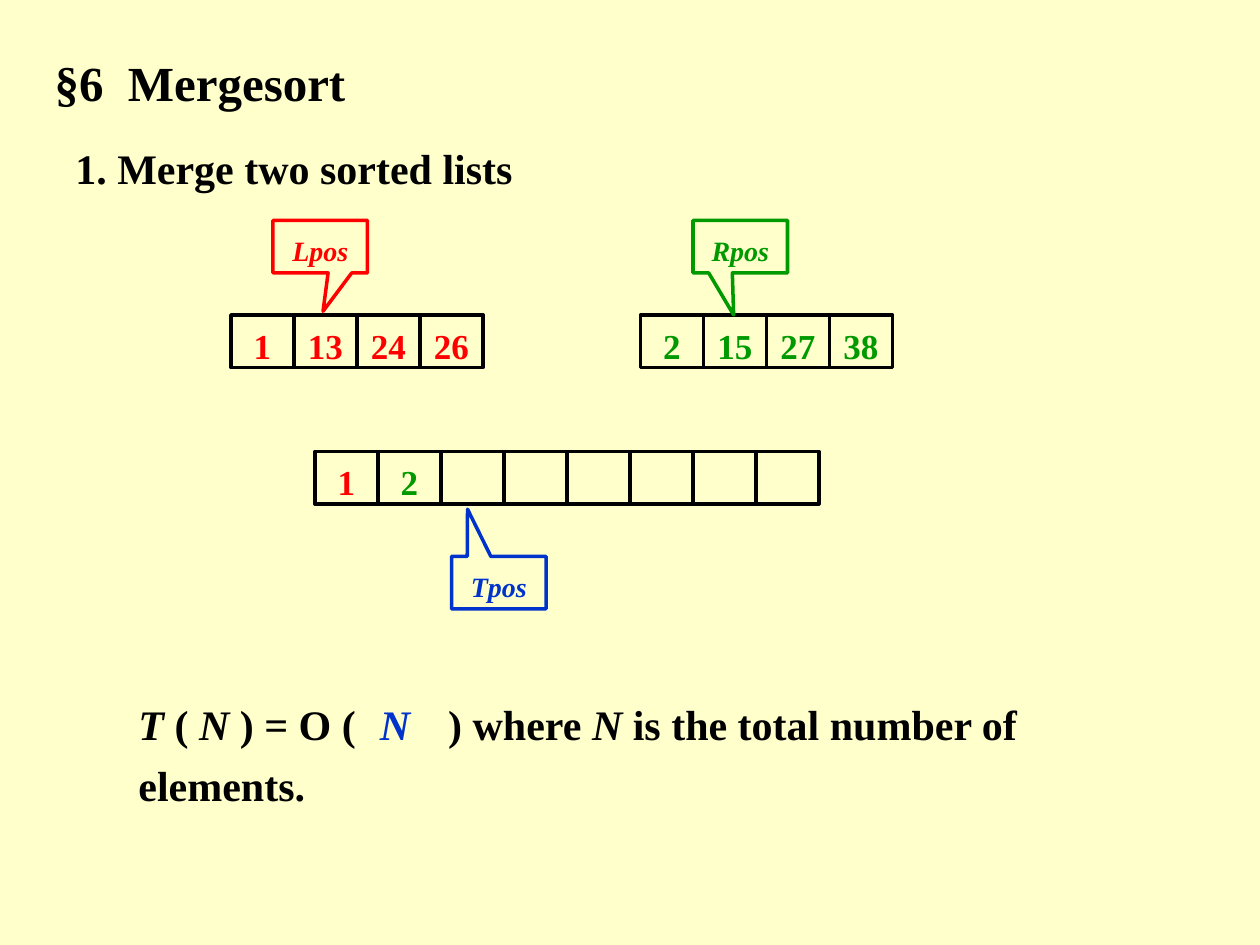
from lxml import etree
from pptx import Presentation
from pptx.dml.color import RGBColor
from pptx.enum.shapes import MSO_SHAPE
from pptx.enum.text import MSO_ANCHOR, MSO_AUTO_SIZE, PP_ALIGN
from pptx.oxml.ns import qn
from pptx.util import Pt

RECT = MSO_SHAPE.RECTANGLE
CALLOUT = MSO_SHAPE.RECTANGULAR_CALLOUT
TOP, MIDDLE = MSO_ANCHOR.TOP, MSO_ANCHOR.MIDDLE
LEFT, CENTER = PP_ALIGN.LEFT, PP_ALIGN.CENTER

FONT = "Times New Roman"
COLORS = {"background": "FFFFCC", "text": "000000", "left": "FF0000",
          "right": "009900", "merged": "0033CC"}
CELL_W, CELL_H = 36, 30
CALLOUT_W, CALLOUT_H = 54, 30
TAB_STOPS = (138, 177)


def rgb(name):
    return RGBColor.from_string(COLORS[name])


def format_paragraph(p, size, color="text", align=LEFT, italic=None):
    p.alignment = align
    p.line_spacing = 1.2
    p.space_before = Pt(0)
    p.font.name = FONT
    p.font.size = Pt(size)
    p.font.bold = True
    p.font.italic = italic
    p.font.color.rgb = rgb(color)


def place(shape, left, top, width, height):
    shape.left, shape.top = Pt(left), Pt(top)
    shape.width, shape.height = Pt(width), Pt(height)


def set_title(s, text):
    title = s.shapes.title
    place(title, 24, 19.5, 400, 41)
    tf = title.text_frame
    tf.text = text
    tf.vertical_anchor = TOP
    tf.auto_size = MSO_AUTO_SIZE.NONE
    format_paragraph(tf.paragraphs[0], 28)


def add_text_box(s, left, top, width, height):
    """Add a wrapping text box and return its first paragraph."""
    tf = s.shapes.add_textbox(Pt(left), Pt(top), Pt(width), Pt(height)).text_frame
    tf.word_wrap = True
    return tf.paragraphs[0]


def add_outlined_shape(shapes, kind, left, top, width, height, line):
    sp = shapes.add_shape(kind, Pt(left), Pt(top), Pt(width), Pt(height))
    sp.shadow.inherit = False
    sp.fill.background()
    sp.line.color.rgb = rgb(line)
    sp.line.width = Pt(2)
    return sp


def add_array(s, left, top, cells):
    """Draw a row of touching cells, each given as (value, colour name)."""
    group = s.shapes.add_group_shape()
    for i, (value, color) in enumerate(cells):
        sp = add_outlined_shape(group.shapes, RECT, left + i * CELL_W, top,
                                CELL_W, CELL_H, "text")
        if value:
            tf = sp.text_frame
            tf.text = value
            tf.word_wrap = False
            tf.vertical_anchor = MIDDLE
            format_paragraph(tf.paragraphs[0], 20, color, CENTER)


def add_pointer(s, left, top, label, color, tip):
    """Draw a callout; tip is its point, as fractions of size from its centre."""
    sp = add_outlined_shape(s.shapes, CALLOUT, left, top,
                            CALLOUT_W, CALLOUT_H, color)
    sp.adjustments[0], sp.adjustments[1] = tip
    tf = sp.text_frame
    tf.text = label
    tf.vertical_anchor = TOP
    tf.margin_left = tf.margin_right = Pt(1.5)
    format_paragraph(tf.paragraphs[0], 16, color, CENTER, italic=True)


def add_tab_stops(p, positions):
    tabs = etree.SubElement(p._p.get_or_add_pPr(), qn("a:tabLst"))
    for position in positions:
        etree.SubElement(tabs, qn("a:tab"), pos=str(Pt(position)), algn="l")


def add_complexity(s):
    p = add_text_box(s, 72, 390, 558, 69)
    add_tab_stops(p, TAB_STOPS)
    format_paragraph(p, 24)
    parts = [("T ", True), ("( ", False), ("N ", True), (") = O (\t", False),
             ("N", True), ("\t) where ", False), ("N", True),
             (" is the total number of elements.", False)]
    for text, italic in parts:
        r = p.add_run()
        r.text = text
        r.font.italic = italic
    p.runs[4].font.color.rgb = rgb("merged")


def main():
    prs = Presentation()
    prs.slide_width, prs.slide_height = Pt(720), Pt(540)
    s = prs.slides.add_slide(prs.slide_layouts[5])
    s.background.fill.solid()
    s.background.fill.fore_color.rgb = rgb("background")

    set_title(s, "§6  Mergesort")
    p = add_text_box(s, 36, 72, 282, 36)
    p.text = "1. Merge two sorted lists"
    format_paragraph(p, 24)

    add_array(s, 132, 180, [(v, "left") for v in ("1", "13", "24", "26")])
    add_array(s, 366, 180, [(v, "right") for v in ("2", "15", "27", "38")])
    add_array(s, 180, 258, [("1", "left"), ("2", "right")] + [("", "text")] * 6)

    add_pointer(s, 156, 126, "Lpos", "left", (0.03, 1.23))
    add_pointer(s, 396, 126, "Rpos", "right", (-0.07, 1.3))
    add_pointer(s, 258, 318, "Tpos", "merged", (-0.33, -1.4))

    add_complexity(s)
    prs.save("out.pptx")


if __name__ == "__main__":
    main()
